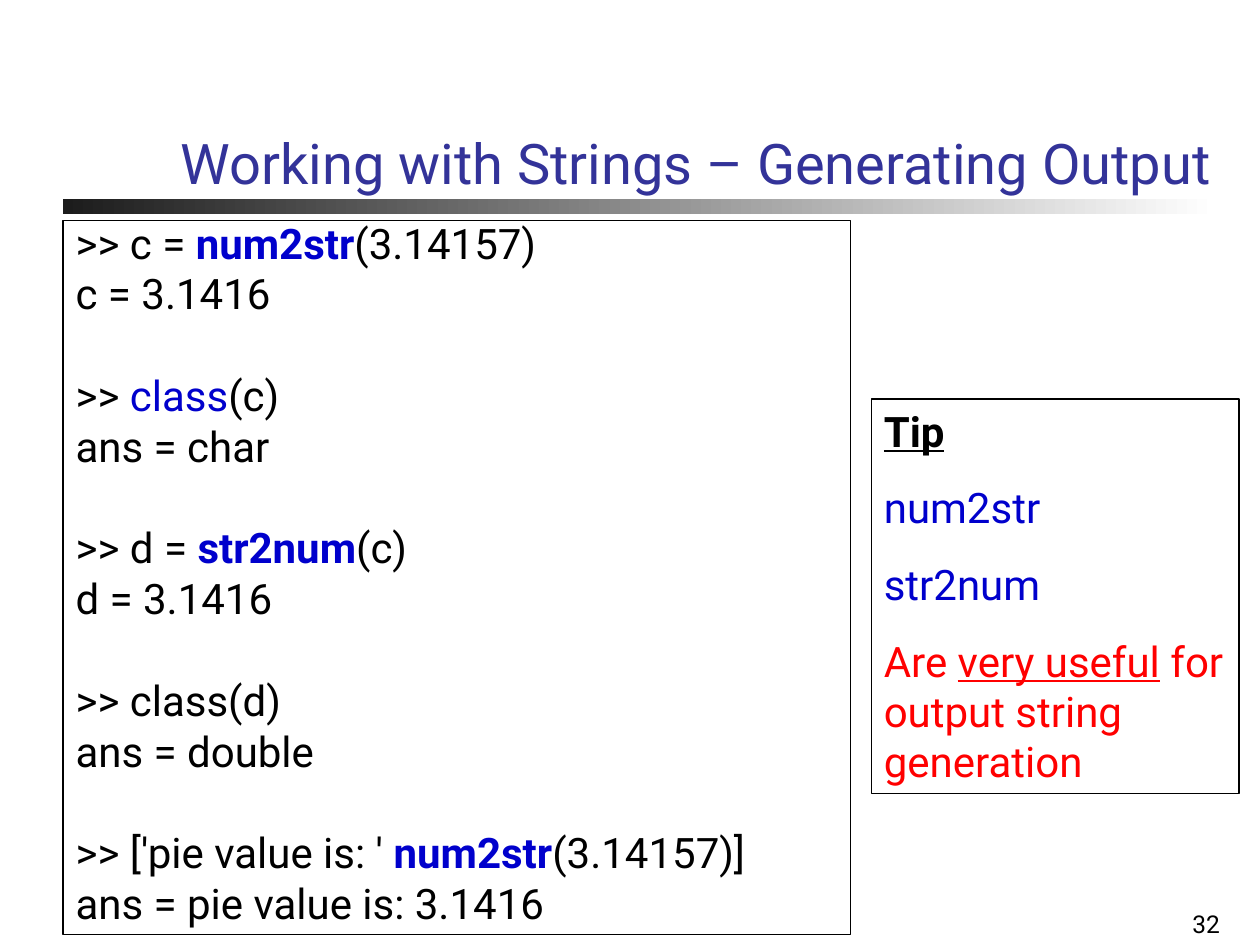
from dataclasses import dataclass

from lxml import etree
from pptx import Presentation
from pptx.dml.color import RGBColor
from pptx.enum.shapes import MSO_SHAPE
from pptx.enum.text import MSO_ANCHOR, MSO_AUTO_SIZE, PP_ALIGN
from pptx.oxml.ns import qn
from pptx.util import Pt

RECT = MSO_SHAPE.RECTANGLE
TOP, BOTTOM = MSO_ANCHOR.TOP, MSO_ANCHOR.BOTTOM
LEFT, RIGHT = PP_ALIGN.LEFT, PP_ALIGN.RIGHT
NO_FIT = MSO_AUTO_SIZE.NONE


@dataclass(frozen=True)
class Theme:
    font: str = "Roboto"
    title: RGBColor = RGBColor(0x33, 0x33, 0x99)
    text: RGBColor = RGBColor(0, 0, 0)
    keyword: RGBColor = RGBColor(0, 0, 0xCC)
    alert: RGBColor = RGBColor(0xFF, 0, 0)
    bar_start: RGBColor = RGBColor(0x1C, 0x1C, 0x1C)
    bar_end: RGBColor = RGBColor(0xFF, 0xFF, 0xFF)
    title_size: int = 32
    text_size: int = 24
    number_size: int = 14


theme = Theme()


def place(sp, left, top, width, height, anchor):
    sp.left, sp.top, sp.width, sp.height = Pt(left), Pt(top), Pt(width), Pt(height)
    tf = sp.text_frame
    tf.word_wrap = True
    tf.auto_size = NO_FIT
    tf.vertical_anchor = anchor
    return tf


def add_run(p, text, color, size=theme.text_size, bold=False, underline=False):
    r = p.add_run()
    r.text = text
    r.font.name = theme.font
    r.font.size = Pt(size)
    r.font.color.rgb = color
    r.font.bold = bold
    r.font.underline = underline


prs = Presentation()
prs.slide_width, prs.slide_height = Pt(720), Pt(540)
s = prs.slides.add_slide(prs.slide_layouts[1])

bar = s.shapes.add_shape(RECT, Pt(36), Pt(113.8), Pt(659.5), Pt(8.6))
bar.shadow.inherit = False
bar.line.fill.background()
bar.fill.gradient()
bar.fill.gradient_angle = 0
for stop, color in zip(bar.fill.gradient_stops, (theme.bar_start, theme.bar_end)):
    stop.color.rgb = color

tf = place(s.shapes.title, 96, 0, 624, 115.2, BOTTOM)
p = tf.paragraphs[0]
p.alignment = LEFT
add_run(p, "Working with Strings – Generating Output", theme.title, theme.title_size)

code_blocks = [
    ([(">> c = ", ""), ("num2str", "kb"), ("(3.14157)", "")], "c = 3.1416"),
    ([(">> ", ""), ("class", "k"), ("(c)", "")], "ans = char"),
    ([(">> d = ", ""), ("str2num", "kb"), ("(c)", "")], "d = 3.1416"),
    ([(">> class(d)", "")], "ans = double"),
    ([(">> ['pie value is: ' ", ""), ("num2str", "kb"), ("(3.14157)]", "")],
     "ans = pie value is: 3.1416"),
]
body = s.placeholders[1]
body.line.color.rgb = theme.text
body.line.width = Pt(0.75)
tf = place(body, 36, 126, 450, 408, TOP)
for i, (command, answer) in enumerate(code_blocks):
    for j, line in enumerate((command, [(answer, "")])):
        p = tf.paragraphs[0] if i == j == 0 else tf.add_paragraph()
        pPr = p._p.get_or_add_pPr()
        pPr.set("marL", str(Pt(48)))
        pPr.set("indent", str(Pt(-48)))
        etree.SubElement(pPr, qn("a:buNone"))
        p.line_spacing = 0.8
        p.space_before = Pt(6 if j else 35 if i else 0)
        for text, style in line:
            add_run(p, text, theme.keyword if "k" in style else theme.text,
                    bold="b" in style)

tip = s.shapes.add_shape(RECT, Pt(498), Pt(228), Pt(210), Pt(225.4))
tip.shadow.inherit = False
tip.fill.background()
tip.line.color.rgb = theme.text
tip.line.width = Pt(0.75)
tf = place(tip, 498, 228, 210, 225.4, TOP)
tip_lines = [
    [("Tip", theme.text, True, True)],
    [("num2str", theme.keyword, False, False)],
    [("str2num", theme.keyword, False, False)],
    [("Are ", theme.alert, False, False),
     ("very useful", theme.alert, False, True),
     (" for output string generation", theme.alert, False, False)],
]
for i, line in enumerate(tip_lines):
    p = tf.add_paragraph() if i else tf.paragraphs[0]
    p.alignment = LEFT
    p.space_before = Pt(15 if i else 0)
    for text, color, bold, underline in line:
        add_run(p, text, color, bold=bold, underline=underline)

number = s.shapes.add_textbox(0, 0, 0, 0)
tf = place(number, 554.4, 516.2, 149.8, 23.8, BOTTOM)
p = tf.paragraphs[0]
p.alignment = RIGHT
add_run(p, "32", theme.text, theme.number_size)

prs.save("out.pptx")
